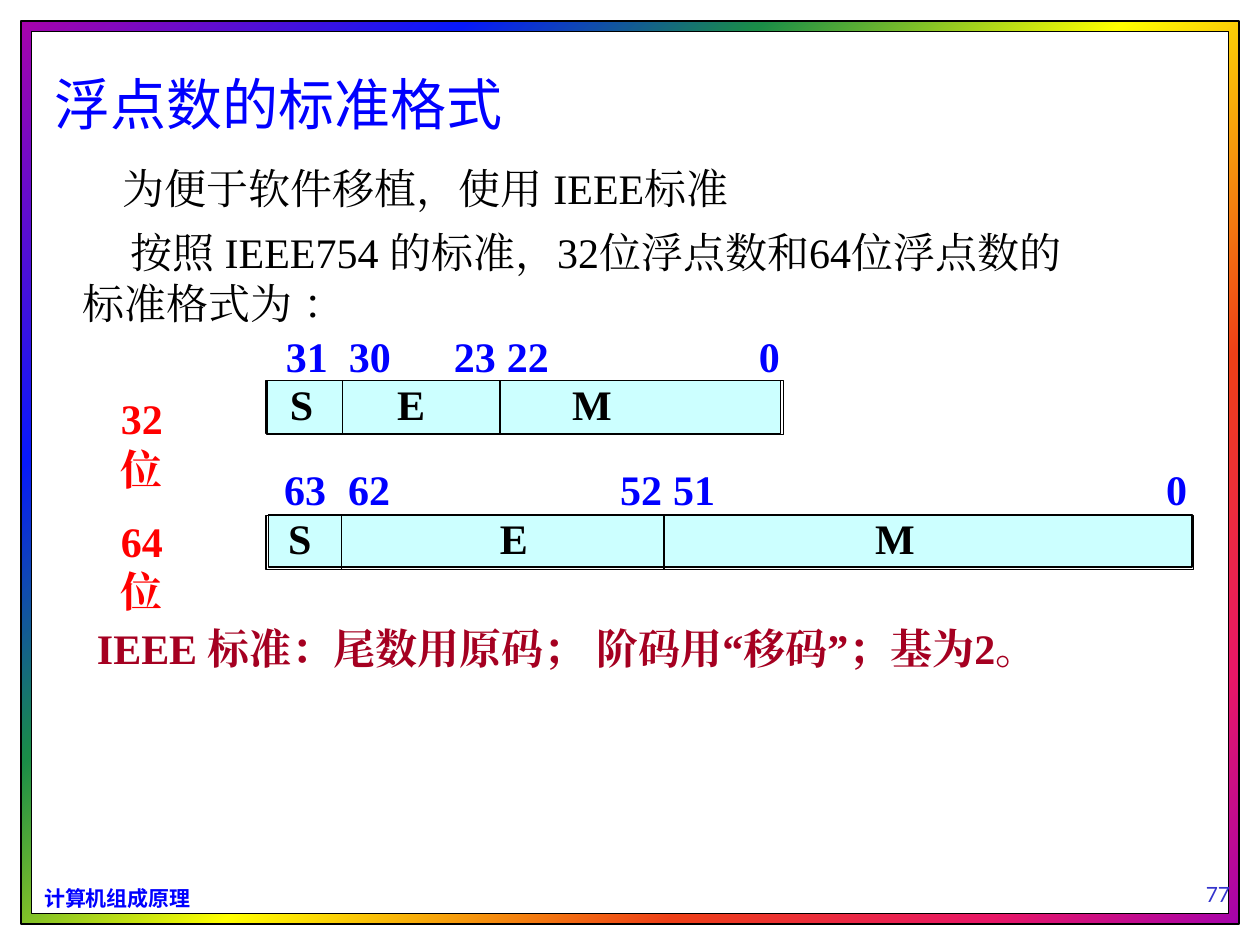
from dataclasses import dataclass

from lxml import etree
from pptx import Presentation
from pptx import util as u
from pptx.dml import color
from pptx.enum import shapes, text
from pptx.oxml import ns

Pt = u.Pt
COLORS = {"black": "000000", "white": "FFFFFF", "blue": "0000FF", "red": "FF0000",
          "crimson": "A50021", "cyan": "CCFFFF", "indigo": "3333CC"}
RAINBOW = [(0, "A603AB"), (21, "0819FB"), (35, "1A8D48"), (52, "FFFF00"),
           (73, "EE3F17"), (88, "E81766"), (100, "A603AB")]
SERIF, SANS, LATO = "Times New Roman", "Noto Sans CJK SC", "Lato"


@dataclass
class Box:
    x: float
    y: float
    w: float
    h: float


@dataclass
class Label:
    x: float
    text: str


@dataclass
class FloatFormat:
    name: str
    name_y: float
    panel: Box
    frame: Box
    dividers: list[float]
    bits_y: float
    bits: list[Label]
    fields_y: float
    fields: list[Label]


FORMATS = [
    FloatFormat("32位", 224.6, Box(152, 217.4, 294, 30.2), Box(152.6, 217.4, 295.2, 31),
                [195.8, 285.8], 188.6,
                [Label(163.4, "31"), Label(199.4, "30"), Label(259.4, "23"),
                 Label(289.7, "22"), Label(433.7, "0")],
                216, [Label(165.7, "S"), Label(226.9, "E"), Label(326.9, "M")]),
    FloatFormat("64位", 294.5, Box(153.4, 293.8, 527.8, 30.2), Box(152, 294.5, 530, 31),
                [195.1, 379.4], 265,
                [Label(162.3, "63"), Label(198.9, "62"), Label(354.3, "52"),
                 Label(384.6, "51"), Label(666.3, "0")],
                292.6, [Label(164.6, "S"), Label(285.7, "E"), Label(500, "M")]),
]


def rgb(name: str) -> color.RGBColor:
    return color.RGBColor.from_string(COLORS[name])


def add_text(s, box: Box, content: str, *, size: float = 24, font: str = SERIF,
             fill: str = "black", bold: bool = False, wrap: bool = False,
             indent: float = 0, align=text.PP_ALIGN.LEFT,
             anchor=text.MSO_ANCHOR.TOP) -> None:
    sp = s.shapes.add_textbox(Pt(box.x), Pt(box.y), Pt(box.w), Pt(box.h))
    tf = sp.text_frame
    tf.margin_left = tf.margin_right = tf.margin_top = tf.margin_bottom = 0
    tf.word_wrap = wrap
    tf.vertical_anchor = anchor
    p = tf.paragraphs[0]
    p.alignment = align
    if indent:
        p._p.get_or_add_pPr().set("indent", str(Pt(indent)))
    r = p.add_run()
    r.text = content
    r.font.size, r.font.bold, r.font.name = Pt(size), bold, font
    r.font.color.rgb = rgb(fill)
    # East Asian characters use the same typeface
    etree.SubElement(r._r.get_or_add_rPr(), ns.qn("a:ea")).set("typeface", font)


def add_rect(s, box: Box, fill: str | None = None):
    sp = s.shapes.add_shape(shapes.MSO_SHAPE.RECTANGLE, Pt(box.x), Pt(box.y),
                            Pt(box.w), Pt(box.h))
    sp.shadow.inherit = False
    if fill:
        sp.fill.solid()
        sp.fill.fore_color.rgb = rgb(fill)
    else:
        sp.fill.background()
    sp.line.color.rgb = rgb("black")
    sp.line.width = Pt(0.75)
    return sp


def add_rainbow(sp) -> None:
    sp.fill.gradient()
    sp.fill.gradient_angle = 315  # counter-clockwise, so 45 degrees clockwise
    stops = sp._element.spPr.find(ns.qn("a:gradFill")).find(ns.qn("a:gsLst"))
    for old in list(stops):
        stops.remove(old)
    for percent, value in RAINBOW:
        gs = etree.SubElement(stops, ns.qn("a:gs"), pos=str(percent * 1000))
        etree.SubElement(gs, ns.qn("a:srgbClr"), val=value)


def add_divider(s, x: float, top: float, height: float) -> None:
    line = s.shapes.add_connector(shapes.MSO_CONNECTOR.STRAIGHT, Pt(x), Pt(top),
                                  Pt(x), Pt(top + height))
    line.line.color.rgb = rgb("black")
    line.line.width = Pt(0.75)
    etree.SubElement(line._element.spPr, ns.qn("a:effectLst"))


def add_format(s, f: FloatFormat) -> None:
    add_rect(s, f.panel, "cyan")
    add_rect(s, f.frame)
    for x in f.dividers:
        add_divider(s, x, f.frame.y, f.frame.h)
    for y, labels, fill in ((f.bits_y, f.bits, "blue"), (f.fields_y, f.fields, "black")):
        for label in labels:
            add_text(s, Box(label.x, y, 26, 29), label.text, fill=fill, bold=True)
    # Narrow box, so the unit falls on a second line
    add_text(s, Box(69.1, f.name_y, 34, 58), f.name, fill="red", bold=True, wrap=True)


def main() -> None:
    prs = Presentation()
    prs.slide_width, prs.slide_height = Pt(720), Pt(540)
    s = prs.slides.add_slide(prs.slide_layouts[6])

    # Rainbow border, footer and page number
    add_rainbow(add_rect(s, Box(12, 12, 696, 516)))
    add_rect(s, Box(18, 18, 684, 504), "white")
    add_text(s, Box(25.2, 506.2, 86, 18), "计算机组成原理", size=12, font=SANS,
             fill="blue", bold=True)
    add_text(s, Box(675, 486, 42, 32.4), "77", size=12, font=LATO, fill="indigo",
             align=text.PP_ALIGN.CENTER, anchor=text.MSO_ANCHOR.BOTTOM)

    # Title and introduction
    add_text(s, Box(31, 39.6, 257, 38), "浮点数的标准格式", size=32, font=SANS, fill="blue")
    add_text(s, Box(70.3, 92.9, 360, 29), "为便于软件移植，使用 IEEE标准")
    add_text(s, Box(47.4, 129.6, 580, 58),
             "按照 IEEE754 的标准，32位浮点数和64位浮点数的标准格式为 ：",
             wrap=True, indent=27)

    # Bit layouts and conclusion
    for f in FORMATS:
        add_format(s, f)
    add_text(s, Box(55.4, 355.7, 603, 35),
             "IEEE 标准：尾数用原码； 阶码用“移码”；基为2。", fill="crimson", bold=True)

    prs.save("out.pptx")


if __name__ == "__main__":
    main()
